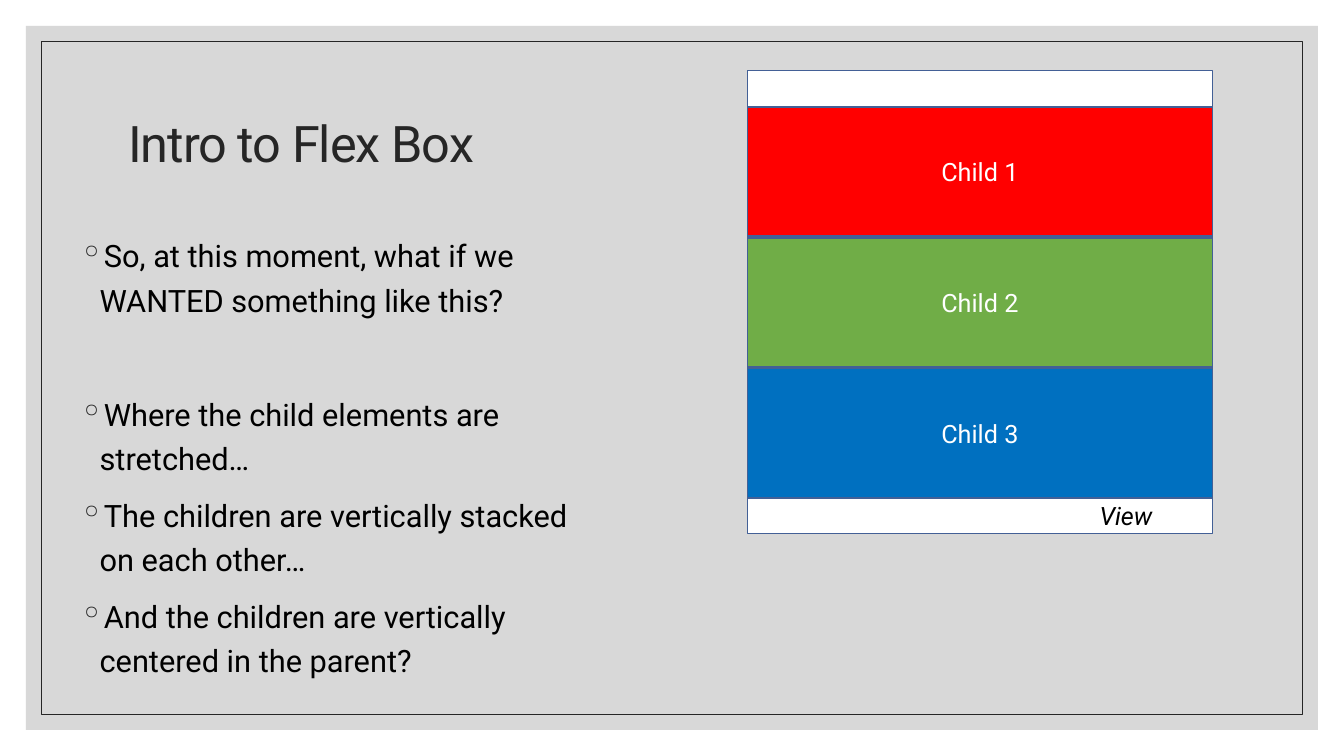
from dataclasses import dataclass
from pptx import Presentation
from pptx.dml.color import RGBColor
from pptx.enum.shapes import MSO_SHAPE
from pptx.enum.text import MSO_ANCHOR, MSO_AUTO_SIZE, PP_ALIGN
from pptx.oxml.ns import qn
from pptx.util import Pt
from lxml.etree import SubElement

TITLE = "Intro to Flex Box"
BULLETS = [
    ("So, at this moment, what if we WANTED something like this?", 0),
    ("Where the child elements are stretched…", 49.6),
    ("The children are vertically stacked on each other…", 9),
    ("And the children are vertically centered in the parent?", 9),
]
CHILDREN = [("Child 1", "FF0000"), ("Child 2", "70AD47"), ("Child 3", "0070C0")]
VIEW_LABEL = "View"

SLIDE_SIZE = (960, 540)
PANEL_MARGIN, FRAME_MARGIN = 18.6, 29.4
TITLE_BOX = (84.24, 50.4, 792, 108)
BODY_BOX = (49.68, 160.6, 376.6, 355.7)
VIEW_BOX = (534, 50.4, 332, 330.8)
VIEW_LABEL_BOX = (778.3, 353.5, 61.9, 28.8)
FIRST_CHILD_TOP, CHILD_HEIGHT, CHILD_STEP = 76.4, 92.2, 93.5
BULLET_INDENT = 14.4


@dataclass(frozen=True)
class Theme:
    """Colours and type sizes of the slide."""
    font: str = "Roboto"
    panel: str = "BFBFBF"
    panel_opacity: int = 60
    ink: str = "262626"
    black: str = "000000"
    white: str = "FFFFFF"
    outline: str = "436096"
    title_size: int = 36
    body_size: int = 22
    label_size: int = 18


THEME = Theme()


def set_all(target, values):
    """Set every attribute named in values on target."""
    for name, value in values.items():
        setattr(target, name, value)


def format_font(font, size, color, **values):
    """Give a font the theme face, a size and a colour."""
    set_all(font, {"name": THEME.font, "size": Pt(size), **values})
    font.color.rgb = RGBColor.from_string(color)


def centered_box(margin):
    """Return the box that leaves an equal margin on every side."""
    width, height = SLIDE_SIZE
    return margin, margin, width - 2 * margin, height - 2 * margin


def add_rectangle(slide, box, fill=None, line=None, line_width=1):
    """Add a flat rectangle with optional fill and outline."""
    shape = slide.shapes.add_shape(MSO_SHAPE.RECTANGLE, *map(Pt, box))
    shape.shadow.inherit = False
    if fill:
        shape.fill.solid()
        shape.fill.fore_color.rgb = RGBColor.from_string(fill)
    else:
        shape.fill.background()
    if line:
        shape.line.color.rgb = RGBColor.from_string(line)
        shape.line.width = Pt(line_width)
    else:
        shape.line.fill.background()
    return shape


def add_backdrop(slide):
    """Add the translucent panel and its thin frame."""
    panel = add_rectangle(slide, centered_box(PANEL_MARGIN), THEME.panel)
    color = next(panel.fill._xPr.iter(qn("a:srgbClr")))
    SubElement(color, qn("a:alpha"), val=str(THEME.panel_opacity * 1000))
    add_rectangle(slide, centered_box(FRAME_MARGIN), line=THEME.ink, line_width=0.5)


def add_title(slide):
    """Fill the title placeholder and bring it above the backdrop."""
    title = slide.shapes.title
    slide.shapes._spTree.append(title._element)
    set_all(title, dict(zip(("left", "top", "width", "height"), map(Pt, TITLE_BOX))))
    frame = title.text_frame
    frame.text = TITLE
    set_all(frame, {"vertical_anchor": MSO_ANCHOR.MIDDLE, "word_wrap": True,
                    "auto_size": MSO_AUTO_SIZE.NONE})
    paragraph = frame.paragraphs[0]
    set_all(paragraph, {"alignment": PP_ALIGN.LEFT, "line_spacing": 0.9})
    run = paragraph.runs[0]
    format_font(run.font, THEME.title_size, THEME.ink)
    run._r.get_or_add_rPr().set("spc", "-70")


def add_bullet(paragraph):
    """Give a paragraph a hanging round bullet."""
    properties = paragraph._p.get_or_add_pPr()
    properties.set("marL", str(Pt(BULLET_INDENT)))
    properties.set("indent", str(-Pt(BULLET_INDENT)))
    color = SubElement(properties, qn("a:buClr"))
    SubElement(color, qn("a:srgbClr"), val=THEME.ink)
    SubElement(properties, qn("a:buChar"), char="◦")


def add_body(slide):
    """Add the bulleted text."""
    frame = slide.shapes.add_textbox(*map(Pt, BODY_BOX)).text_frame
    frame.word_wrap = True
    for index, (text, gap) in enumerate(BULLETS):
        paragraph = frame.add_paragraph() if index else frame.paragraphs[0]
        add_bullet(paragraph)
        set_all(paragraph, {"line_spacing": 1.2, "space_before": Pt(gap)})
        run = paragraph.add_run()
        run.text = text
        format_font(run.font, THEME.body_size, THEME.black)


def add_view(slide):
    """Add the parent view with its stacked children and label."""
    left, _, width, _ = VIEW_BOX
    add_rectangle(slide, VIEW_BOX, THEME.white, THEME.outline)
    for index, (text, fill) in enumerate(CHILDREN):
        box = (left, FIRST_CHILD_TOP + index * CHILD_STEP, width, CHILD_HEIGHT)
        frame = add_rectangle(slide, box, fill, THEME.outline).text_frame
        frame.text = text
        frame.vertical_anchor = MSO_ANCHOR.MIDDLE
        paragraph = frame.paragraphs[0]
        paragraph.alignment = PP_ALIGN.CENTER
        format_font(paragraph.runs[0].font, THEME.label_size, THEME.white)
    frame = slide.shapes.add_textbox(*map(Pt, VIEW_LABEL_BOX)).text_frame
    frame.text = VIEW_LABEL
    frame.word_wrap = True
    format_font(frame.paragraphs[0].runs[0].font, THEME.label_size, THEME.black, italic=True)


def main():
    """Build and save the slide."""
    presentation = Presentation()
    set_all(presentation, dict(zip(("slide_width", "slide_height"), map(Pt, SLIDE_SIZE))))
    slide = presentation.slides.add_slide(presentation.slide_layouts[5])
    for add_part in (add_backdrop, add_title, add_body, add_view):
        add_part(slide)
    presentation.save("out.pptx")


if __name__ == "__main__":
    main()
